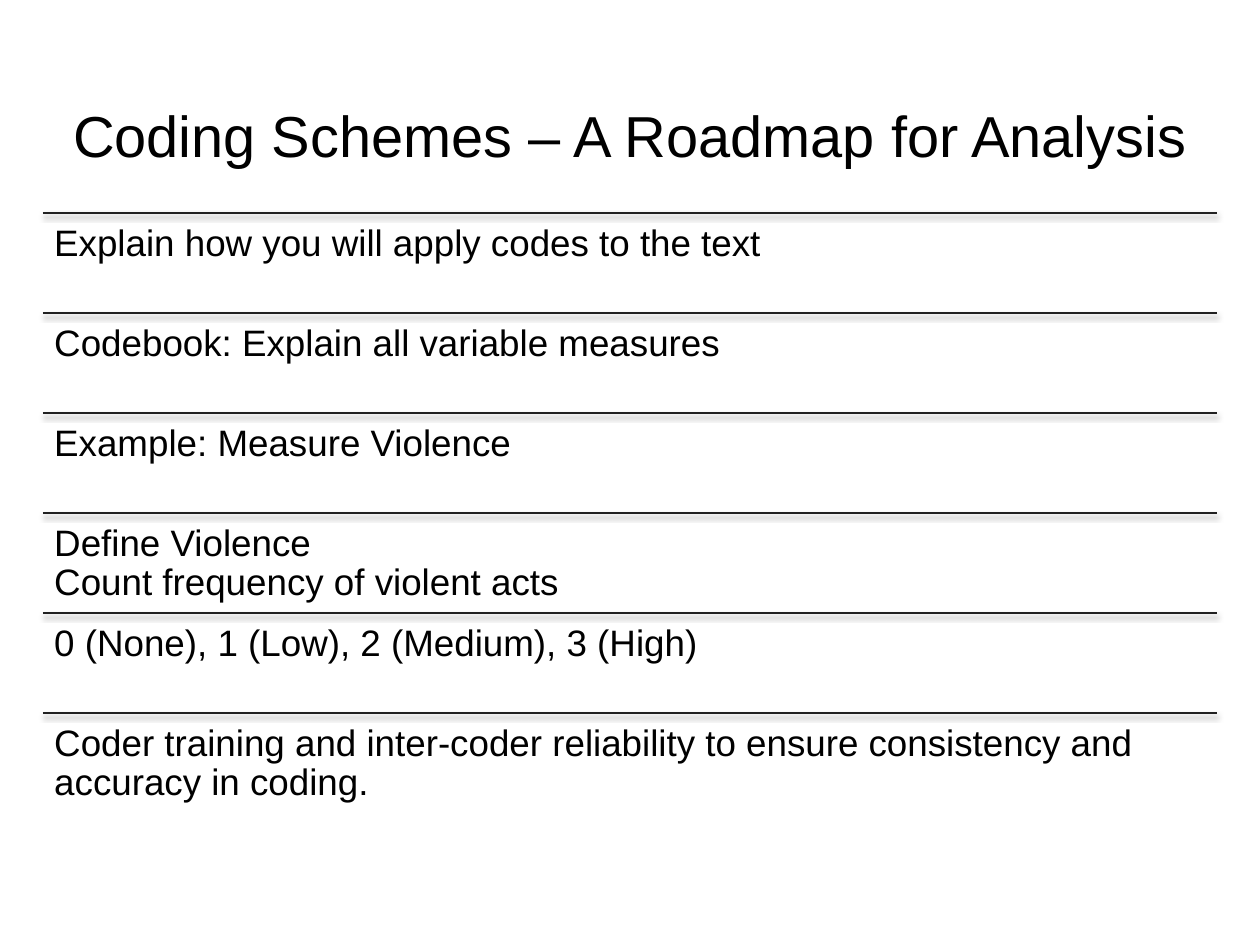
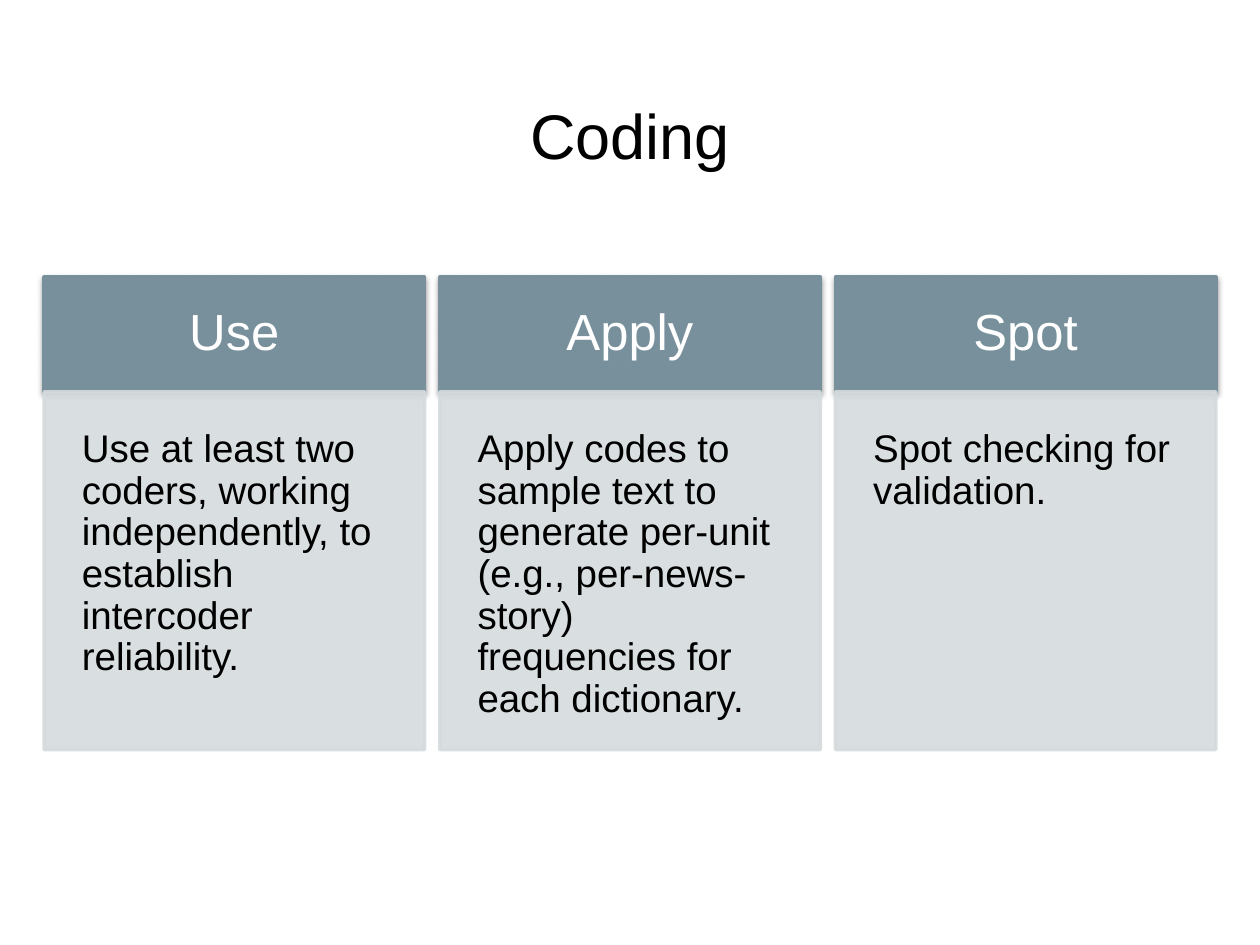
"""Build two slides on coding schemes: a ruled list and three headed columns."""
from dataclasses import dataclass

import pptx
import pptx.dml.color
import pptx.enum.shapes
import pptx.enum.text
import pptx.oxml.ns
import pptx.util
from lxml import etree

Inches = pptx.util.Inches
Pt = pptx.util.Pt
qn = pptx.oxml.ns.qn
ALIGN = pptx.enum.text.PP_ALIGN
ANCHOR = pptx.enum.text.MSO_ANCHOR


@dataclass(frozen=True)
class Theme:
    font: str = "Arial"
    text: str = "000000"
    light: str = "FFFFFF"
    rule: str = "212121"
    header: str = "78909C"
    panel: str = "D5DBDD"
    panel_opacity: int = 89
    long_title_size: int = 33
    title_size: int = 36
    row_size: int = 21
    header_size: int = 29
    panel_size: int = 22
    line_spacing: float = 0.9


class Deck:
    def __init__(self, theme):
        self.theme = theme
        self.prs = pptx.Presentation()
        self.prs.slide_width = Inches(10)
        self.prs.slide_height = Inches(7.5)
        self.s = None

    def new_slide(self):
        self.s = self.prs.slides.add_slide(self.prs.slide_layouts[6])

    def rgb(self, color):
        return pptx.dml.color.RGBColor.from_string(color)

    def set_text(self, sp, text, size, color, inset, align=ALIGN.LEFT,
                 anchor=ANCHOR.TOP, spacing=None):
        tf = sp.text_frame
        tf.word_wrap = True
        tf.vertical_anchor = anchor
        tf.margin_left = tf.margin_right = Inches(inset)
        tf.margin_top = tf.margin_bottom = Inches(inset)
        p = tf.paragraphs[0]
        p.text = text
        p.alignment = align
        p.line_spacing = spacing
        for r in p.runs:
            r.font.name = self.theme.font
            r.font.size = Pt(size)
            r.font.color.rgb = self.rgb(color)

    def set_shadow(self, sp, opacity, distance):
        sp_pr = sp._element.spPr
        effects = sp_pr.find(qn("a:effectLst"))
        if effects is None:
            effects = etree.SubElement(sp_pr, qn("a:effectLst"))
        shadow = etree.SubElement(
            effects, qn("a:outerShdw"), blurRad=str(Pt(3.1)),
            dist=str(Pt(distance)), dir="5400000", algn="ctr", rotWithShape="0")
        color = etree.SubElement(shadow, qn("a:srgbClr"), val="000000")
        etree.SubElement(color, qn("a:alpha"), val=str(opacity * 1000))

    def text(self, text, left, top, width, height, size, inset, **layout):
        sp = self.s.shapes.add_textbox(
            Inches(left), Inches(top), Inches(width), Inches(height))
        self.set_text(sp, text, size, self.theme.text, inset, **layout)

    def title(self, text, size):
        self.text(text, 0.34, 0.65, 9.32, 0.83, size, 0.1,
                  align=ALIGN.CENTER, anchor=ANCHOR.MIDDLE)

    def rule(self, left, top, width):
        sp = self.s.shapes.add_connector(
            pptx.enum.shapes.MSO_CONNECTOR.STRAIGHT,
            Inches(left), Inches(top), Inches(left + width), Inches(top))
        sp.line.color.rgb = self.rgb(self.theme.rule)
        sp.line.width = Pt(0.75)
        self.set_shadow(sp, 34, 1.8)

    def box(self, left, top, width, height, color):
        sp = self.s.shapes.add_shape(
            pptx.enum.shapes.MSO_SHAPE.RECTANGLE,
            Inches(left), Inches(top), Inches(width), Inches(height))
        sp.fill.solid()
        sp.fill.fore_color.rgb = self.rgb(color)
        sp.line.color.rgb = self.rgb(color)
        sp.line.width = Pt(2)
        sp.shadow.inherit = False
        return sp

    def header(self, text, left, top, width, height):
        sp = self.box(left, top, width, height, self.theme.header)
        self.set_shadow(sp, 37, 1.6)
        self.set_text(sp, text, self.theme.header_size, self.theme.light, 0.24,
                      ALIGN.CENTER, ANCHOR.MIDDLE, self.theme.line_spacing)

    def panel(self, text, left, top, width, height):
        sp = self.box(left, top, width, height, self.theme.panel)
        for color in sp._element.spPr.iter(qn("a:srgbClr")):
            etree.SubElement(color, qn("a:alpha"),
                             val=str(self.theme.panel_opacity * 1000))
        self.set_text(sp, text, self.theme.panel_size, self.theme.text, 0.3,
                      spacing=self.theme.line_spacing)


def add_roadmap(deck):
    rows = [
        "Explain how you will apply codes to the text",
        "Codebook: Explain all variable measures",
        "Example: Measure Violence",
        "Define Violence\vCount frequency of violent acts",
        "0 (None), 1 (Low), 2 (Medium), 3 (High)",
        "Coder training and inter-coder reliability to ensure consistency "
        "and accuracy in coding.",
    ]
    left, width = 0.34, 9.32
    first, last = 1.69, 5.66
    row_height = (last - first) / (len(rows) - 1)
    deck.new_slide()
    deck.title("Coding Schemes – A Roadmap for Analysis",
               deck.theme.long_title_size)
    for i, row in enumerate(rows):
        top = first + i * row_height
        deck.rule(left, top, width)
        deck.text(row, left, top, width, row_height, deck.theme.row_size, 0.09,
                  spacing=deck.theme.line_spacing)


def add_coding_steps(deck):
    steps = [
        ("Use", "Use at least two coders, working independently, to establish "
                "intercoder reliability."),
        ("Apply", "Apply codes to sample text to generate per-unit (e.g., "
                  "per-news-story) frequencies for each dictionary."),
        ("Spot", "Spot checking for validation."),
    ]
    width, gap = 3.02, 0.12
    top, header_height, panel_height = 2.2, 0.91, 2.84
    deck.new_slide()
    deck.title("Coding", deck.theme.title_size)
    for i, (name, detail) in enumerate(steps):
        left = 0.35 + i * (width + gap)
        deck.header(name, left, top, width, header_height)
        deck.panel(detail, left, top + header_height, width, panel_height)


def main():
    deck = Deck(Theme())
    add_roadmap(deck)
    add_coding_steps(deck)
    deck.prs.save("out.pptx")


if __name__ == "__main__":
    main()
